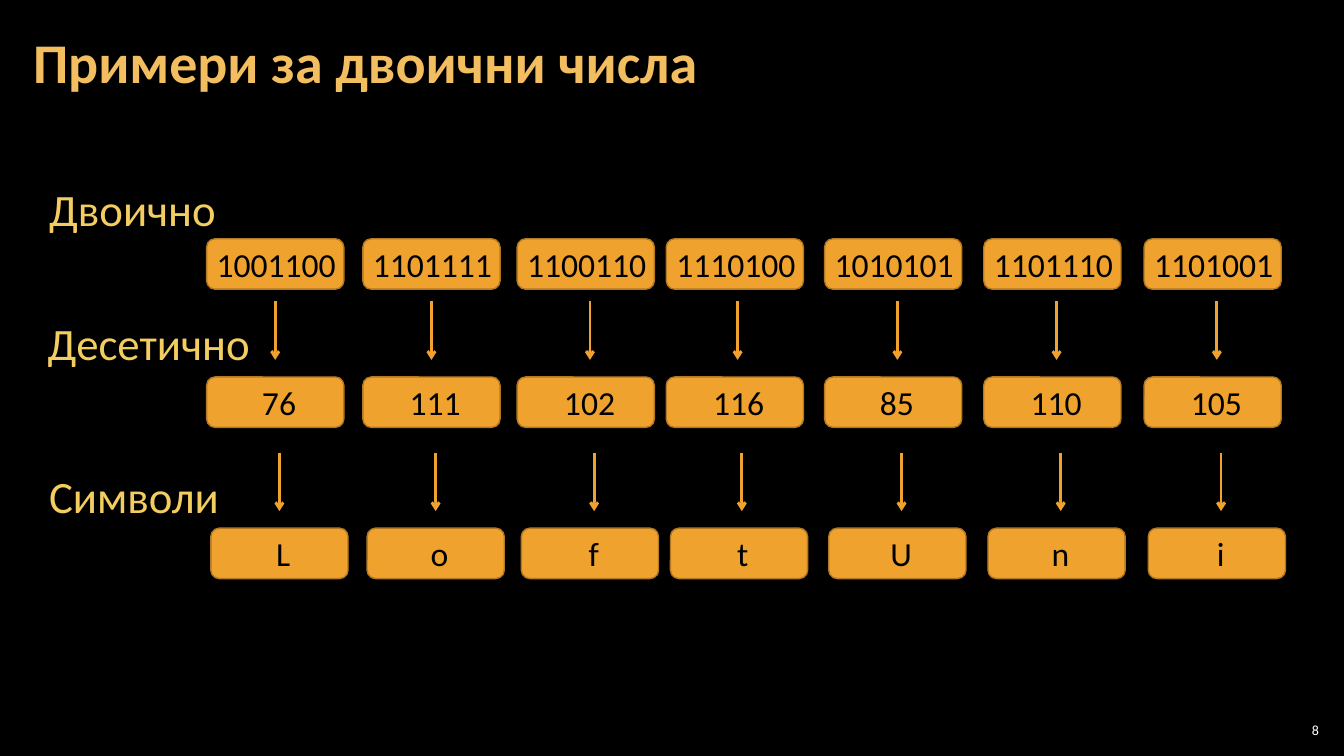
from lxml import etree
from pptx import Presentation
from pptx.dml.color import RGBColor
from pptx.enum import shapes, text
from pptx.oxml import ns
from pptx.util import Pt

FONT = "Calibri"
AMBER, BROWN, GOLD = "F0A22E", "B27822", "F3CD60"
BLACK, WHITE, TITLE = "000000", "FFFFFF", "F3BE60"
WORD = "LoftUni"
COLUMNS = [147.6, 259.2, 369.4, 475.9, 589, 702.7, 817.2]
ARROW_SHIFTS = [49, 49, 52, 51, 52, 52, 52]
BOX_WIDTH, BOX_HEIGHT, ARROW_LENGTH = 98, 36, 41.8
SYMBOL_SHIFT = 3  # the symbol row sits slightly to the right
LEFT, CENTER, RIGHT = (text.PP_ALIGN.LEFT, text.PP_ALIGN.CENTER,
                       text.PP_ALIGN.RIGHT)


def color(value):
    return RGBColor.from_string(value)


def write(box, words, size, fill, align=LEFT, insets=(7.2, 3.6, 7.2, 3.6),
          anchor=text.MSO_ANCHOR.TOP, bold=False):
    frame = box.text_frame
    frame.word_wrap = True
    frame.vertical_anchor = anchor
    (frame.margin_left, frame.margin_top,
     frame.margin_right, frame.margin_bottom) = map(Pt, insets)
    para = frame.paragraphs[0]
    para.text = words
    para.alignment = align
    para.font.name = FONT
    para.font.size = Pt(size)
    para.font.bold = bold
    para.font.color.rgb = color(fill)
    return para


def add_title(page, left, top, width, height):
    box = page.shapes.title
    box.left, box.top, box.width, box.height = map(
        Pt, (left, top, width, height))
    para = write(box, "Примери за двоични числа", 40, TITLE, bold=True,
                 insets=(8.6, 2.9, 8.6, 2.9), anchor=text.MSO_ANCHOR.MIDDLE)
    para.line_spacing = 0.9


def add_label(page, words, left, top, width):
    box = page.shapes.add_textbox(*map(Pt, (left, top, width, 46)))
    write(box, words, 32, GOLD)


def add_box_row(page, values, top, shift=0, align=CENTER):
    for left, value in zip(COLUMNS, values):
        box = page.shapes.add_shape(
            shapes.MSO_SHAPE.ROUNDED_RECTANGLE,
            *map(Pt, (left + shift, top, BOX_WIDTH, BOX_HEIGHT)))
        box.shadow.inherit = False
        box.fill.solid()
        box.fill.fore_color.rgb = color(AMBER)
        box.line.color.rgb = color(BROWN)
        box.line.width = Pt(1)
        write(box, value, 24, BLACK, align, (5.4, 0, 0, 0),
              text.MSO_ANCHOR.MIDDLE)


def add_arrow_row(page, top, shift=0):
    for left, offset in zip(COLUMNS, ARROW_SHIFTS):
        x = left + offset + shift
        arrow = page.shapes.add_connector(
            shapes.MSO_CONNECTOR.STRAIGHT,
            *map(Pt, (x, top, x, top + ARROW_LENGTH)))
        arrow.line.color.rgb = color(AMBER)
        arrow.line.width = Pt(2)
        # Arrowhead and no shadow
        etree.SubElement(arrow.line._get_or_add_ln(), ns.qn("a:tailEnd"),
                         type="arrow")
        etree.SubElement(arrow._element.spPr, ns.qn("a:effectLst"))


def add_page_number(page, left, top, width, height):
    box = page.shapes.add_textbox(*map(Pt, (left, top, width, height)))
    write(box, "8", 10, WHITE, RIGHT, (2.9,) * 4, text.MSO_ANCHOR.MIDDLE)


def main():
    deck = Presentation()
    deck.slide_width, deck.slide_height = Pt(960), Pt(540)
    page = deck.slides.add_slide(deck.slide_layouts[5])
    page.background.fill.solid()
    page.background.fill.fore_color.rgb = color(BLACK)

    add_title(page, 15, 3, 930, 87)

    # Each letter as binary code, decimal code and symbol
    codes = [ord(letter) for letter in WORD]
    add_box_row(page, [f"{code:b}" for code in codes], 170.6, align=LEFT)
    add_arrow_row(page, 215.3)
    add_box_row(page, [str(code) for code in codes], 269.3)
    add_arrow_row(page, 323.3, SYMBOL_SHIFT)
    add_box_row(page, WORD, 377.3, SYMBOL_SHIFT)

    # Row names
    add_label(page, "Двоично", 28, 126, 140)
    add_label(page, "Десетично", 27, 221.8, 270)
    add_label(page, "Символи", 28, 331.2, 144)

    add_page_number(page, 911, 514, 34, 15)
    deck.save("out.pptx")


if __name__ == "__main__":
    main()
